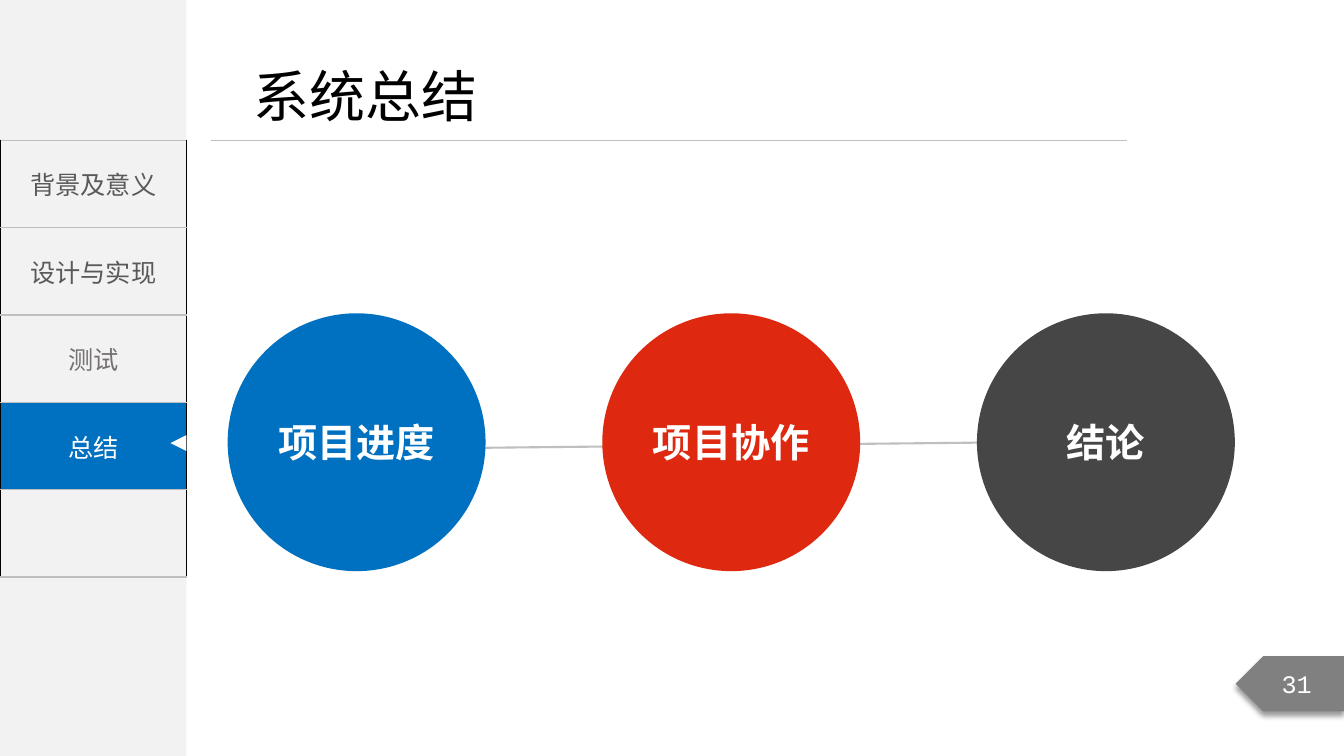
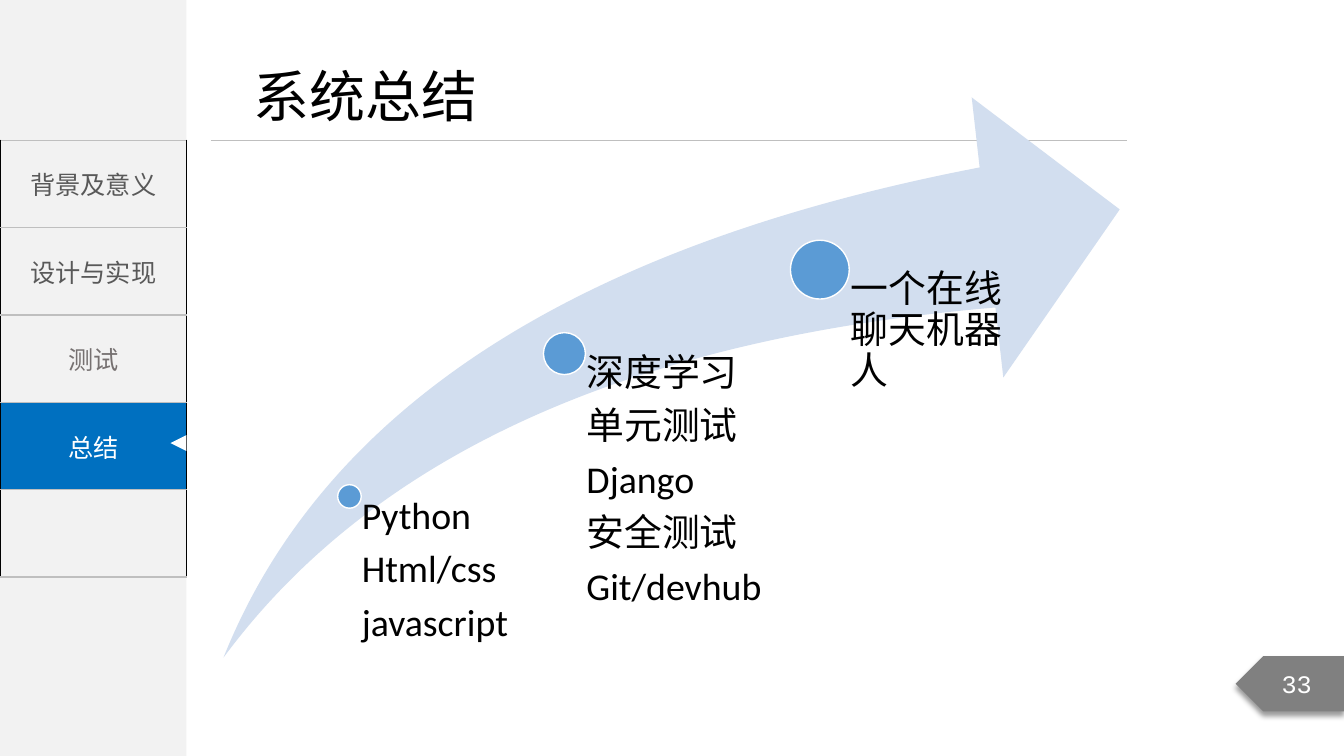
from lxml.etree import SubElement
from pptx import Presentation
from pptx.dml.color import RGBColor
from pptx.enum.shapes import MSO_CONNECTOR, MSO_SHAPE
from pptx.enum.text import MSO_ANCHOR, MSO_AUTO_SIZE, PP_ALIGN
from pptx.oxml.ns import qn
from pptx.util import Inches, Pt

COLORS = {
    "black": "000000",
    "white": "FFFFFF",
    "sidebar": "F2F2F2",
    "rule": "BFBFBF",
    "menu": "595959",
    "menu_soft": "767171",
    "blue": "0070C0",
    "red": "DE2810",
    "dark": "262626",
    "tag": "808080",
    "swoosh": "D2DEEF",
    "dot": "5B9BD5",
}
CHINESE_FONT = "Noto Sans CJK SC"
BODY_FONT = "Calibri"
NUMBER_FONT = "Courier New"
GRID_COLUMNS, GRID_ROWS = 160, 90
WIDTH, HEIGHT = Inches(13.33), Inches(7.5)

SIDEBAR_WIDTH = 22.2
MENU_TOP, MENU_ROW = 16.7, 10.4
MENU = [
    ("背景及意义", "menu", None),
    ("设计与实现", "menu", "sidebar"),
    ("测试", "menu_soft", "sidebar"),
    ("总结", "white", "blue"),
    ("", "menu", None),
]
TOPICS = [("项目进度", "blue", 100), ("项目协作", "red", 100), ("结论", "dark", 85)]
TOPIC_LEFT, TOPIC_TOP, TOPIC_SIZE, TOPIC_STEP = 27.1, 37.3, 30.7, 44.6
MILESTONES = [
    (41.6, 59.1, 2.8, ["Python", "Html/css", "javascript"]),
    (67.2, 42.1, 5, ["深度学习", "单元测试", "Django", "安全测试", "Git/devhub"]),
    (97.6, 32.1, 7, ["一个在线聊天机器人"]),
]
MILESTONE_WIDTH, MILESTONE_BOTTOM = 25.6, 78.3


def rgb(color):
    return RGBColor.from_string(COLORS[color])


def columns(count):
    return round(WIDTH * count / GRID_COLUMNS)


def rows(count):
    return round(HEIGHT * count / GRID_ROWS)


def area(left, top, width, height):
    return columns(left), rows(top), columns(width), rows(height)


def add_alpha(node, alpha):
    if alpha < 100:
        SubElement(node, qn("a:alpha"), val=str(alpha * 1000))


def add_color(parent, color, alpha=100):
    add_alpha(SubElement(parent, qn("a:srgbClr"), val=COLORS[color]), alpha)


class Painter:
    def __init__(self):
        self.deck = Presentation()
        self.deck.slide_width, self.deck.slide_height = WIDTH, HEIGHT
        self.page = None

    def set_text(self, frame, lines, size, font, color, align=PP_ALIGN.LEFT, bold=False):
        for index, line in enumerate(lines):
            para = frame.paragraphs[0] if index == 0 else frame.add_paragraph()
            para.text = line
            para.alignment = align
            para.font.size = Pt(size)
            para.font.bold = bold
            para.font.name = font
            para.font.color.rgb = rgb(color)
            defaults = para._p.get_or_add_pPr().find(qn("a:defRPr"))
            SubElement(defaults, qn("a:ea"), typeface=font)

    def shape(self, kind, place, fill, alpha=100, outline=None):
        shape = self.page.shapes.add_shape(kind, *area(*place))
        shape.shadow.inherit = False
        shape.fill.solid()
        shape.fill.fore_color.rgb = rgb(fill)
        add_alpha(shape.element.spPr.find(qn("a:solidFill"))[0], alpha)
        if outline:
            shape.line.color.rgb = rgb(outline)
            shape.line.width = Pt(1)
        else:
            shape.line.fill.background()
        return shape

    def label(self, shape, text, size, font, bold=False):
        shape.text_frame.vertical_anchor = MSO_ANCHOR.MIDDLE
        self.set_text(shape.text_frame, [text], size, font, "white", PP_ALIGN.CENTER, bold)

    def line(self, start, end, weight):
        line = self.page.shapes.add_connector(
            MSO_CONNECTOR.STRAIGHT,
            columns(start[0]), rows(start[1]), columns(end[0]), rows(end[1]),
        )
        line.line.color.rgb = rgb("rule")
        line.line.width = Pt(weight)
        SubElement(line.element.spPr, qn("a:effectLst"))

    def text(self, place):
        return self.page.shapes.add_textbox(*area(*place)).text_frame

    def menu(self):
        place = area(0, MENU_TOP, SIDEBAR_WIDTH, MENU_ROW * len(MENU))
        table = self.page.shapes.add_table(len(MENU), 1, *place).table
        table.first_row = table.horz_banding = False
        properties = table._tbl.tblPr
        for style in list(properties):
            properties.remove(style)
        for index, (text, color, fill) in enumerate(MENU):
            cell = table.cell(index, 0)
            cell.vertical_anchor = MSO_ANCHOR.MIDDLE
            for side in ("a:lnT", "a:lnB"):
                border = SubElement(cell._tc.get_or_add_tcPr(), qn(side), w=str(Pt(1)))
                add_color(SubElement(border, qn("a:solidFill")), "rule")
            if fill:
                cell.fill.solid()
                cell.fill.fore_color.rgb = rgb(fill)
            else:
                cell.fill.background()
            self.set_text(cell.text_frame, [text], 18, CHINESE_FONT, color, PP_ALIGN.CENTER)

    def page_tag(self, number):
        tag = self.shape(MSO_SHAPE.PENTAGON, (147.1, 78.1, 12.9, 6.6), "tag")
        tag.element.spPr.xfrm.set("flipH", "1")
        shadow = SubElement(
            tag.element.spPr.find(qn("a:effectLst")), qn("a:outerShdw"),
            blurRad=str(Pt(4)), dist=str(Pt(3)), dir="5400000", rotWithShape="0",
        )
        add_color(shadow, "black", 40)
        self.label(tag, str(number), 18, NUMBER_FONT)

    def new_page(self, title, number):
        self.page = self.deck.slides.add_slide(self.deck.slide_layouts[6])
        self.shape(MSO_SHAPE.RECTANGLE, (0, 0, SIDEBAR_WIDTH, GRID_ROWS), "sidebar")
        self.menu()
        self.line((25.1, MENU_TOP), (134.2, MENU_TOP), 0.5)
        frame = self.text((29, 6.7, 29.4, 9.2))
        frame.word_wrap = False
        frame.auto_size = MSO_AUTO_SIZE.SHAPE_TO_FIT_TEXT
        self.set_text(frame, [title], 40, CHINESE_FONT, "black")
        self.page_tag(number)
        pointer = self.shape(MSO_SHAPE.ISOSCELES_TRIANGLE, (20.3, 51.8, 1.9, 1.9), "white")
        pointer.rotation = 270

    def topic(self, index, text, fill, alpha):
        left = TOPIC_LEFT + index * TOPIC_STEP
        place = (left, TOPIC_TOP, TOPIC_SIZE, TOPIC_SIZE)
        circle = self.shape(MSO_SHAPE.OVAL, place, fill, alpha)
        self.label(circle, text, 28, BODY_FONT, True)

    def swoosh(self):
        arrow = self.shape(MSO_SHAPE.SWOOSH_ARROW, (26.6, 11.6, 106.7, 66.7), "swoosh")
        arrow.adjustments[0] = arrow.adjustments[1] = 0.25

    def milestone(self, center, middle, size, lines):
        radius = size / 2
        place = (center - radius, middle - radius, size, size)
        self.shape(MSO_SHAPE.OVAL, place, "dot", outline="white")
        frame = self.text((center, middle, MILESTONE_WIDTH, MILESTONE_BOTTOM - middle))
        frame.word_wrap = True
        frame.margin_left = columns(radius * 1.05)
        frame.margin_top = frame.margin_right = frame.margin_bottom = 0
        self.set_text(frame, lines, 27, BODY_FONT, "black")
        for para in frame.paragraphs:
            para.line_spacing = 0.9
            para.space_after = Pt(9)


def main():
    painter = Painter()

    painter.new_page("系统总结", 31)
    painter.line((39.1, 53.5), (116.3, 52.7), 1.5)
    for index, topic in enumerate(TOPICS):
        painter.topic(index, *topic)

    painter.new_page("系统总结", 33)
    painter.swoosh()
    for milestone in MILESTONES:
        painter.milestone(*milestone)

    painter.deck.save("out.pptx")


if __name__ == "__main__":
    main()
